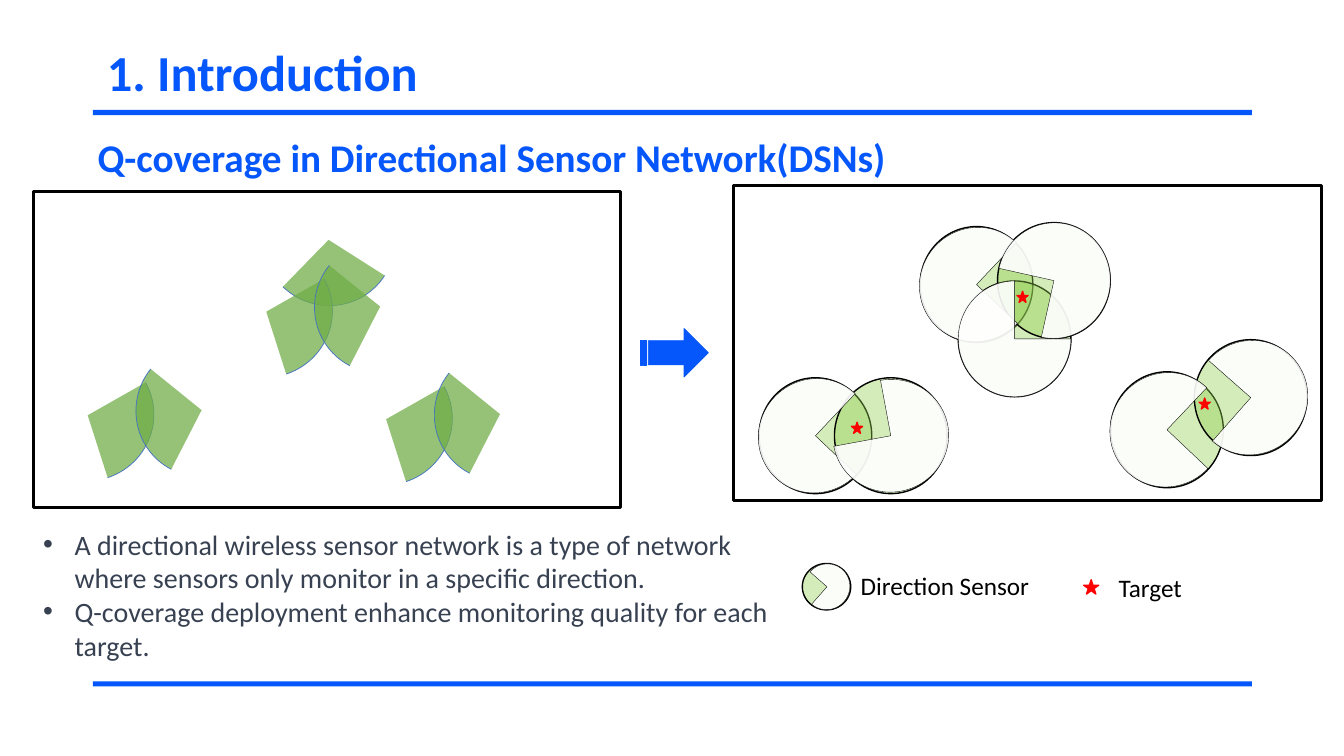
import dataclasses

import pptx
import pptx.dml.color
import pptx.enum.shapes
import pptx.enum.text
import pptx.oxml.ns
import pptx.util
from lxml import etree

Cm, Pt = pptx.util.Cm, pptx.util.Pt
Kind = pptx.enum.shapes.MSO_SHAPE
qn = pptx.oxml.ns.qn


@dataclasses.dataclass(frozen=True)
class Theme:
    font: str = "Calibri"
    blue: str = "0557FC"
    slate: str = "374151"
    black: str = "000000"
    white: str = "FFFFFF"
    lime: str = "92D050"
    green: str = "70AD47"
    edge: str = "4472C4"
    red: str = "FF0000"
    title: int = 36
    head: int = 28
    body: int = 20
    label: int = 18


THEME = Theme()
DISC = (2.84, 2.92)
FAN = (3.3, 3.35)


def color(code):
    return pptx.dml.color.RGBColor.from_string(code)


def draw(slide, kind, box, fill=None, line=None, width=1, alpha=100, turn=0):
    """Add one preset shape; box is left, top, width, height in cm."""
    shape = slide.shapes.add_shape(kind, *map(Cm, box))
    shape.shadow.inherit = False
    shape.rotation = turn
    if fill:
        shape.fill.solid()
        shape.fill.fore_color.rgb = color(fill)
        if alpha < 100:
            tone = shape.fill._xPr.find(qn("a:solidFill"))[0]
            etree.SubElement(tone, qn("a:alpha")).set("val", str(alpha * 1000))
    else:
        shape.fill.background()
    if line:
        shape.line.color.rgb = color(line)
        shape.line.width = Pt(width)
    else:
        shape.line.fill.background()
    return shape


def style(para, size, tint, bold=False):
    for run in para.runs:
        run.font.name = THEME.font
        run.font.size = Pt(size)
        run.font.bold = bold
        run.font.color.rgb = color(tint)


def write(slide, box, text, size, tint, bold=False, wrap=True):
    frame = slide.shapes.add_textbox(*map(Cm, box)).text_frame
    frame.word_wrap = wrap
    frame.text = text
    for para in frame.paragraphs:
        style(para, size, tint, bold)
    return frame


def bullet(para):
    props = para._p.get_or_add_pPr()
    props.set("marL", str(Cm(0.79)))
    props.set("indent", str(-Cm(0.79)))
    etree.SubElement(props, qn("a:buFont")).set("typeface", "Arial")
    etree.SubElement(props, qn("a:buChar")).set("char", "•")


def disc(slide, box):
    draw(slide, Kind.OVAL, box, THEME.lime, THEME.black, alpha=40)


def mask(slide, box, turn):
    """Pale three-quarter pie that leaves the sensing sector open."""
    draw(slide, Kind.PIE, box, THEME.white, THEME.black, 0.25, 90, turn)


def star(slide, box):
    draw(slide, Kind.STAR_5_POINT, box, THEME.red, THEME.red)


def fan(slide, left, top, turn):
    arc = draw(slide, Kind.ARC, (left, top, *FAN), THEME.green, THEME.edge, 0.5, 74, turn)
    arc.adjustments[0] = 162
    arc.adjustments[1] = 7.057


def header(slide, box):
    left, top, width, height = box
    for drop in (1.75, 16.15):
        draw(slide, Kind.RECTANGLE, (left - 0.1, top + drop, width, 0.13), THEME.blue)
    title = slide.shapes.title
    title.left, title.top, title.width, title.height = map(Cm, box)
    frame = title.text_frame
    frame.text = "1. Introduction"
    frame.auto_size = pptx.enum.text.MSO_AUTO_SIZE.NONE
    frame.vertical_anchor = pptx.enum.text.MSO_ANCHOR.MIDDLE
    para = frame.paragraphs[0]
    para.alignment = pptx.enum.text.PP_ALIGN.LEFT
    para.line_spacing = 0.9
    style(para, THEME.title, THEME.blue, True)


def points(slide, box):
    lines = (
        "A directional wireless sensor network is a type of network "
        "where sensors only monitor in a specific direction.",
        "Q-coverage deployment enhance monitoring quality for each target.",
    )
    frame = write(slide, box, "\n".join(lines), THEME.body, THEME.slate)
    for para in frame.paragraphs:
        bullet(para)


def sectors(slide, box):
    """Bare sensing sectors: three pairs and one on top."""
    left, top = box[:2]
    draw(slide, Kind.RECTANGLE, box, line=THEME.black, width=2.25)
    fan(slide, left + 5.79, top - 0.46, 122.5)
    for dx, dy in ((4.22, 1.35), (-0.28, 3.96), (7.24, 4.06)):
        fan(slide, left + dx, top + dy, 60.5)
        fan(slide, left + dx + 2.87, top + dy - 0.13, 207.2)


def network(slide, box):
    """Sensors with full circles, aimed at shared targets."""
    left, top = box[:2]
    sensors = (
        (0.64, 4.85, 43.4), (2.54, 4.85, 259.5),
        (4.7, 1.04, 43.4), (5.66, 2.41, 0), (6.65, 0.94, 192.6),
        (9.5, 4.7, 43.4), (11.61, 3.89, 221.4),
    )
    for dx, dy, _ in sensors:
        disc(slide, (left + dx, top + dy, *DISC))
    for dx, dy in ((7.14, 2.67), (2.97, 5.97), (11.73, 5.36)):
        star(slide, (left + dx, top + dy, 0.28, 0.28))
    draw(slide, Kind.RECTANGLE, box, line=THEME.black, width=2.25)
    for dx, dy, turn in sensors:
        mask(slide, (left + dx, top + dy, *DISC), turn)


def legend(slide, box):
    left, top, _, height = box
    disc(slide, (left, top, 1.22, height))
    mask(slide, (left + 0.05, top, 1.14, height), 221.4)
    star(slide, (left + 7.09, top + 0.41, 0.38, 0.36))
    for dx, dy, width, text in ((1.22, 0.05, 4.8, "Direction Sensor"), (7.72, 0.1, 2.13, "Target")):
        write(slide, (left + dx, top + dy, width, 1.02), text, THEME.label, THEME.black, wrap=False)


def main():
    deck = pptx.Presentation()
    deck.slide_width, deck.slide_height = Cm(33.87), Cm(19.05)
    slide = deck.slides.add_slide(deck.slide_layouts.get_by_name("Title Only"))

    # Title, rules and bullets
    header(slide, (2.44, 1.02, 29.21, 1.73))
    points(slide, (0.84, 13.16, 19.18, 4.45))

    # Two panels, legend and the arrow between the panels
    network(slide, (18.49, 4.67, 14.81, 7.95))
    legend(slide, (20.22, 14.2, 9.85, 1.17))
    sectors(slide, (0.84, 4.83, 14.81, 7.95))
    draw(slide, Kind.STRIPED_RIGHT_ARROW, (16.15, 8.28, 1.7, 1.22), THEME.blue, THEME.blue, 0.5)

    # Section heading
    write(slide, (2.21, 3.23, 22.63, 1.45), "Q-coverage in Directional Sensor Network(DSNs)",
          THEME.head, THEME.blue, True)
    deck.save("out.pptx")


if __name__ == "__main__":
    main()
